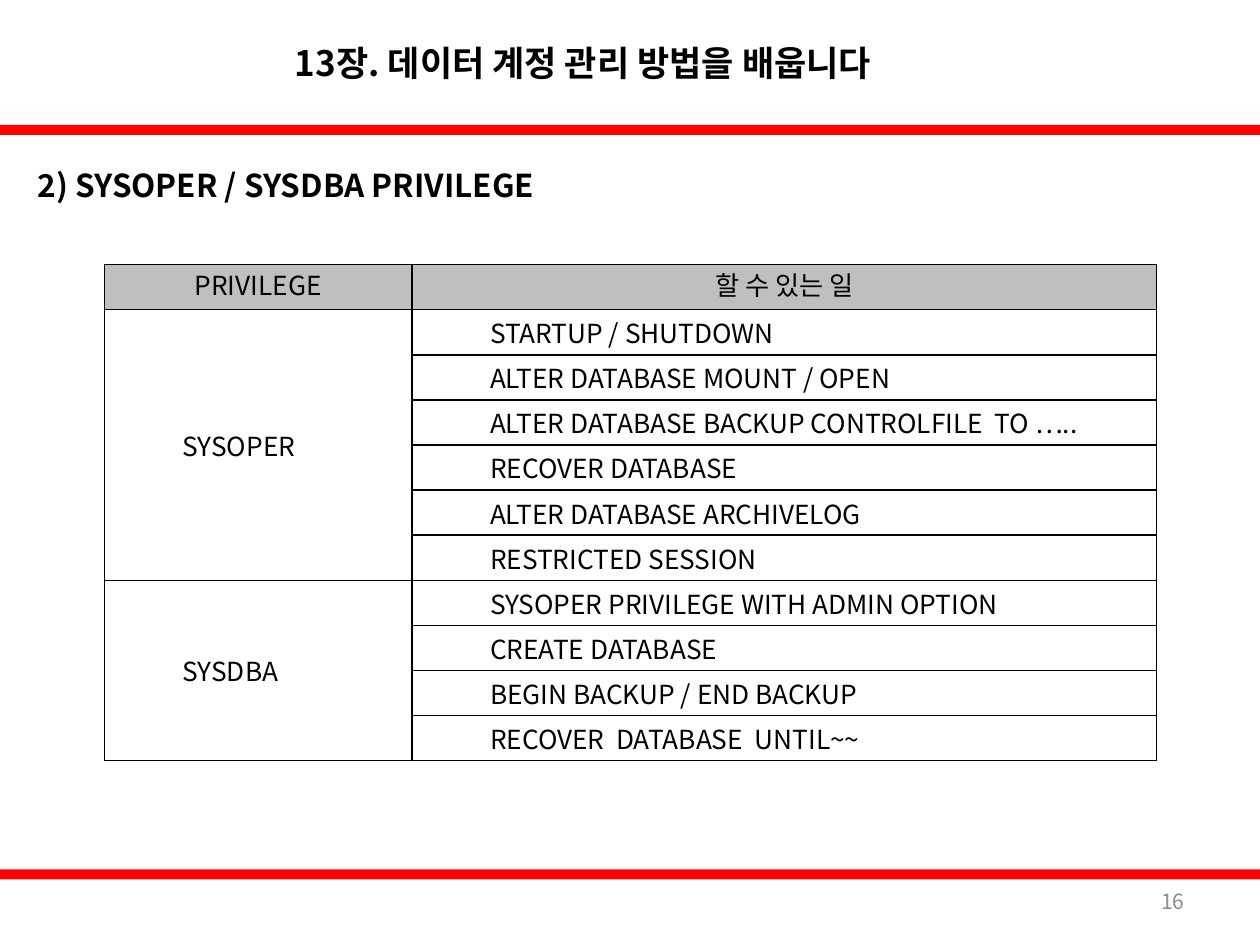
from dataclasses import dataclass

from lxml.etree import SubElement
from pptx import Presentation
from pptx.dml.color import RGBColor
from pptx.enum.shapes import MSO_SHAPE as Shape
from pptx.enum.text import MSO_ANCHOR as Anchor, MSO_AUTO_SIZE as AutoSize, PP_ALIGN as Align
from pptx.oxml.ns import qn
from pptx.util import Inches, Pt


@dataclass(frozen=True)
class Theme:
    font: str = "Noto Sans CJK KR"
    ink: str = "000000"
    muted: str = "8C8C8C"
    accent: str = "FF0000"
    header: str = "BFBFBF"
    title: int = 20
    heading: int = 18
    cell: int = 15
    number: int = 12


THEME = Theme()
PRIVILEGES = {
    "SYSOPER": [
        "STARTUP / SHUTDOWN",
        "ALTER DATABASE MOUNT / OPEN",
        "ALTER DATABASE BACKUP CONTROLFILE  TO …..",
        "RECOVER DATABASE",
        "ALTER DATABASE ARCHIVELOG",
        "RESTRICTED SESSION",
    ],
    "SYSDBA": [
        "SYSOPER PRIVILEGE WITH ADMIN OPTION",
        "CREATE DATABASE",
        "BEGIN BACKUP / END BACKUP",
        "RECOVER  DATABASE  UNTIL~~",
    ],
}


def write(frame, text, size, color=THEME.ink, bold=False, align=Align.LEFT, indent=0):
    """Write one unbulleted paragraph into a text frame."""
    para = frame.paragraphs[0]
    para.alignment = align
    para.space_before = Pt(0)
    props = para._p.get_or_add_pPr()
    props.set("marL", str(Inches(indent)))
    props.set("indent", "0")
    SubElement(props, qn("a:buNone"))
    span = para.add_run()
    span.text = text
    span.font.size = Pt(size)
    span.font.bold = bold
    span.font.color.rgb = RGBColor.from_string(color)
    span.font.name = THEME.font
    SubElement(span._r.get_or_add_rPr(), qn("a:ea"), typeface=THEME.font)


def place(shape, box):
    shape.left, shape.top, shape.width, shape.height = map(Inches, box)


def text_region(shape, box, text, size, **style):
    """Fit a text shape to its box, with its text centred vertically."""
    place(shape, box)
    frame = shape.text_frame
    frame.word_wrap = True
    frame.auto_size = AutoSize.NONE
    frame.vertical_anchor = Anchor.MIDDLE
    write(frame, text, size, **style)


def rule_bar(page, box):
    bar = page.shapes.add_shape(Shape.RECTANGLE, *map(Inches, box))
    bar.shadow.inherit = False
    bar.fill.solid()
    bar.fill.fore_color.rgb = RGBColor.from_string(THEME.accent)
    bar.line.fill.background()


def format_cell(cell, fill=None, anchor=Anchor.MIDDLE):
    cell.margin_left = cell.margin_right = Inches(0.06)
    cell.margin_top = cell.margin_bottom = 0
    cell.vertical_anchor = anchor
    props = cell._tc.get_or_add_tcPr()
    for side in ("lnL", "lnR", "lnT", "lnB"):
        line = SubElement(props, qn(f"a:{side}"), w=str(Pt(1)))
        SubElement(SubElement(line, qn("a:solidFill")), qn("a:srgbClr"), val=THEME.ink)
    if fill:
        cell.fill.solid()
        cell.fill.fore_color.rgb = RGBColor.from_string(fill)
    else:
        cell.fill.background()


def privilege_table(page, box, headers, groups, first_share):
    """Draw one merged label per group beside its list of tasks."""
    count = 1 + sum(len(tasks) for tasks in groups.values())
    table = page.shapes.add_table(count, 2, *map(Inches, box)).table
    table.horz_banding = False
    table.first_row = False
    for column, share in zip(table.columns, (first_share, 1 - first_share)):
        column.width = Inches(box[2] * share)
    for row in table.rows:
        row.height = Inches(box[3] / count)

    # Header row
    for column, text in enumerate(headers):
        cell = table.cell(0, column)
        format_cell(cell, fill=THEME.header, anchor=Anchor.TOP)
        write(cell.text_frame, text, THEME.cell, align=Align.CENTER)

    # Privilege groups
    start = 1
    for label, tasks in groups.items():
        for row, task in enumerate(tasks, start):
            for column in range(2):
                format_cell(table.cell(row, column))
            write(table.cell(row, 1).text_frame, task, THEME.cell, indent=0.56)
        end = start + len(tasks)
        table.cell(start, 0).merge(table.cell(end - 1, 0))
        write(table.cell(start, 0).text_frame, label, THEME.cell, indent=0.56)
        start = end


def main():
    deck = Presentation()
    deck.slide_width, deck.slide_height = Inches(10), Inches(7.5)
    page = deck.slides.add_slide(deck.slide_layouts[1])

    # Rules above and below the content
    for top in (0.99, 6.9):
        rule_bar(page, (0, top, 10, 0.08))

    # Title, section heading and page number
    text_region(page.shapes.title, (2.24, 0, 6.3, 0.99),
                "13장. 데이터 계정 관리 방법을 배웁니다", THEME.title, bold=True)
    text_region(page.placeholders[1], (0.2, 1.15, 7.4, 0.63),
                "2) SYSOPER / SYSDBA PRIVILEGE", THEME.heading, bold=True)
    number_box = (7.17, 6.95, 2.33, 0.4)
    text_region(page.shapes.add_textbox(*map(Inches, number_box)), number_box,
                "16", THEME.number, color=THEME.muted, align=Align.RIGHT)

    # Privileges and their tasks
    privilege_table(page, (0.83, 2.1, 8.35, 3.94), ("PRIVILEGE", "할 수 있는 일"),
                    PRIVILEGES, first_share=2.44 / 8.35)

    deck.save("out.pptx")


if __name__ == "__main__":
    main()
